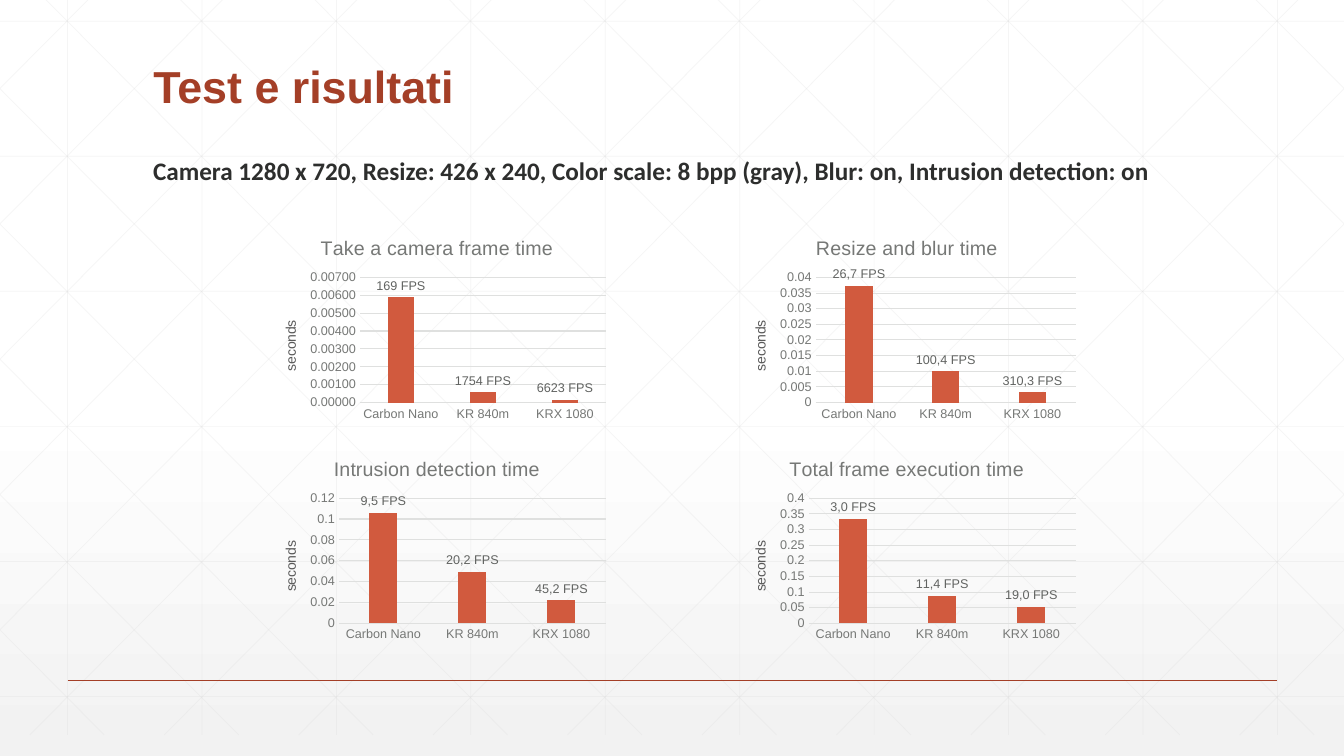
from lxml.etree import SubElement
from pptx import Presentation
from pptx.chart.data import CategoryChartData
from pptx.dml.color import RGBColor
from pptx.enum.chart import XL_CHART_TYPE as ChartType
from pptx.enum.chart import XL_LABEL_POSITION as LabelPosition
from pptx.enum.chart import XL_TICK_MARK as TickMark
from pptx.enum.shapes import MSO_CONNECTOR as Connector
from pptx.enum.text import MSO_ANCHOR as Anchor, MSO_AUTO_SIZE as AutoSize, PP_ALIGN as Align
from pptx.oxml.ns import qn
from pptx.util import Inches, Pt

# Content
TITLE = "Test e risultati"
SETTINGS = ("Camera 1280 x 720, Resize: 426 x 240, Color scale: 8 bpp (gray), "
            "Blur: on, Intrusion detection: on")
DEVICES = ["Carbon Nano", "KR 840m", "KRX 1080"]
# title, seconds, labels, axis maximum, axis step, number format
CHARTS = [
    ("Take a camera frame time", (0.0059, 0.00057, 0.00015),
     ("169 FPS", "1754 FPS", "6623 FPS"), 0.007, 0.001, "0.00000"),
    ("Resize and blur time", (0.0374, 0.00996, 0.00322),
     ("26,7 FPS", "100,4 FPS", "310,3 FPS"), 0.04, 0.005, "General"),
    ("Intrusion detection time", (0.1057, 0.0495, 0.0221),
     ("9,5 FPS", "20,2 FPS", "45,2 FPS"), 0.12, 0.02, "General"),
    ("Total frame execution time", (0.334, 0.0879, 0.0525),
     ("3,0 FPS", "11,4 FPS", "19,0 FPS"), 0.4, 0.05, "General"),
]

WHITE = RGBColor(0xFF, 0xFF, 0xFF)
PALE = RGBColor(0xF2, 0xF2, 0xF2)
LATTICE = RGBColor(0xD9, 0xD9, 0xD9)
RUST = RGBColor(0xA4, 0x3F, 0x27)
BAR = RGBColor(0xD1, 0x5A, 0x3E)
INK = RGBColor(0x2D, 0x2E, 0x2D)
LABEL = RGBColor(0x61, 0x63, 0x61)
AXIS = RGBColor(0x76, 0x78, 0x76)
AXIS_TITLE = RGBColor(0x59, 0x59, 0x59)
GRID = RGBColor(0xDF, 0xE0, 0xDF)

WIDTH, HEIGHT = 13.33, 7.5
TOP, BOTTOM = -0.21, 7.29      # vertical extent of the lattice
STEP = 4 / 3                   # lattice spacing
RUN = 7.45                     # sideways travel of a full diagonal


def set_font(font, size, color, bold=False, name="Arial"):
    font.name, font.size, font.bold = name, Pt(size), bold
    font.color.rgb = color


def add_line(shapes, start, end, color, width, alpha=None):
    line = shapes.add_connector(Connector.STRAIGHT, *map(Inches, (*start, *end)))
    line.line.color.rgb = color
    line.line.width = Pt(width)
    if alpha:
        rgb = line.element.spPr.find(".//" + qn("a:srgbClr"))
        SubElement(rgb, qn("a:alpha")).set("val", str(alpha * 1000))
    SubElement(line.element.spPr, qn("a:effectLst"))


def lattice_lines():
    for column in range(10):
        x = 0.67 + column * STEP
        yield (x, TOP), (x, BOTTOM)
    for row in range(6):
        y = 0.21 + row * 1.34
        yield (0, y), (WIDTH, y)
    # Diagonals clipped to the slide, each with its mirror image
    slope = (BOTTOM - TOP) / RUN
    for index in range(-5, 10):
        x = 0.25 + index * STEP
        left, right = max(x, 0), min(x + RUN, WIDTH)
        y1, y2 = TOP + (left - x) * slope, TOP + (right - x) * slope
        yield (left, y1), (right, y2)
        yield (WIDTH - left, y1), (WIDTH - right, y2)


def add_column_chart(slide, left, top, title, seconds, labels, maximum, step, number_format):
    data = CategoryChartData(number_format=number_format)
    data.categories = DEVICES
    data.add_series("Series 1", seconds)
    chart = slide.shapes.add_chart(ChartType.COLUMN_CLUSTERED, Inches(left), Inches(top),
                                   Inches(3.49), Inches(2.01), data).chart
    set_font(chart.font, 10, INK)
    chart.has_legend = False
    chart.has_title = True
    chart.chart_title.include_in_layout = False
    chart.chart_title.text_frame.text = title
    set_font(chart.chart_title.text_frame.paragraphs[0].font, 14, AXIS)

    # Axes
    value_axis, category_axis = chart.value_axis, chart.category_axis
    for axis in (value_axis, category_axis):
        axis.major_tick_mark = axis.minor_tick_mark = TickMark.NONE
        set_font(axis.tick_labels.font, 9, AXIS)
    category_axis.format.line.color.rgb = GRID
    category_axis.format.line.width = Pt(0.75)
    value_axis.minimum_scale, value_axis.maximum_scale = 0, maximum
    value_axis.major_unit = step
    value_axis.tick_labels.number_format = number_format
    value_axis.tick_labels.number_format_is_linked = False
    value_axis.format.line.fill.background()
    value_axis.major_gridlines.format.line.color.rgb = GRID
    value_axis.major_gridlines.format.line.width = Pt(0.75)
    value_axis.axis_title.text_frame.text = "seconds"
    set_font(value_axis.axis_title.text_frame.paragraphs[0].font, 10, AXIS_TITLE)

    # Bars and their labels
    plot = chart.plots[0]
    plot.gap_width, plot.overlap, plot.vary_by_categories = 219, -27, False
    series = plot.series[0]
    series.format.fill.solid()
    series.format.fill.fore_color.rgb = BAR
    series.data_labels.show_value = True
    series.data_labels.position = LabelPosition.OUTSIDE_END
    set_font(series.data_labels.font, 9, LABEL)
    for index, text in enumerate(labels):
        label = series.points[index].data_label
        label.text_frame.text = text
        set_font(label.text_frame.paragraphs[0].font, 9, LABEL)
        label.position = LabelPosition.OUTSIDE_END


def main():
    presentation = Presentation()
    presentation.slide_width, presentation.slide_height = Inches(WIDTH), Inches(HEIGHT)
    slide = presentation.slides.add_slide(presentation.slide_layouts[5])

    # Background gradient and lattice
    background = slide.background.fill
    background.gradient()
    background.gradient_angle = 270
    for stop, position, color in zip(background.gradient_stops, (0.53, 1), (WHITE, PALE)):
        stop.position = position
        stop.color.rgb = color
    lattice = slide.shapes.add_group_shape()
    for start, end in lattice_lines():
        add_line(lattice.shapes, start, end, LATTICE, 0.5, alpha=25)
    add_line(slide.shapes, (0.67, 6.75), (12.67, 6.75), RUST, 1)

    # Title
    title = slide.shapes.title
    title.element.addprevious(lattice.element)
    title.left, title.top, title.width, title.height = map(Inches, (1.42, 0.55, 10.5, 0.62))
    frame = title.text_frame
    frame.text = TITLE
    frame.auto_size = AutoSize.NONE
    frame.vertical_anchor = Anchor.BOTTOM
    paragraph = frame.paragraphs[0]
    paragraph.alignment = Align.LEFT
    paragraph.line_spacing = 0.9
    set_font(paragraph.font, 32, RUST, bold=True)

    # Test settings
    settings = slide.shapes.add_textbox(*map(Inches, (1.42, 1.49, 10.14, 0.4))).text_frame
    settings.word_wrap = True
    settings.text = SETTINGS
    set_font(settings.paragraphs[0].font, 18, INK, bold=True, name="Calibri")

    # Two-by-two grid of charts
    for index, chart in enumerate(CHARTS):
        row, column = divmod(index, 2)
        add_column_chart(slide, 2.59 + column * 4.66, 2.21 + row * 2.19, *chart)

    presentation.save("out.pptx")


if __name__ == "__main__":
    main()
